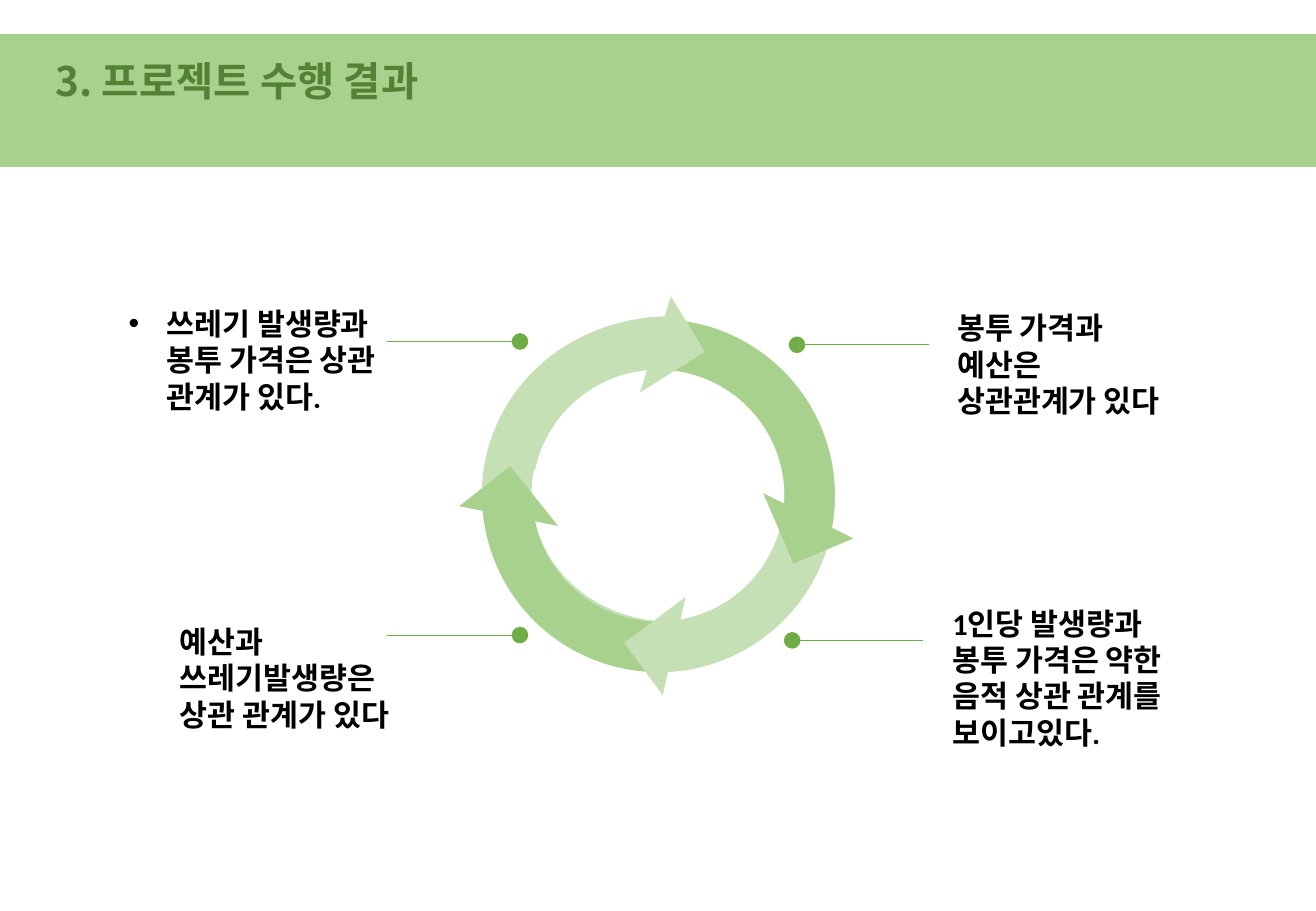
from dataclasses import dataclass

from lxml.etree import SubElement
from pptx import Presentation
from pptx.dml.color import RGBColor
from pptx.enum.shapes import MSO_CONNECTOR, MSO_SHAPE as Shape
from pptx.enum.text import MSO_ANCHOR as Anchor, PP_ALIGN as Align
from pptx.oxml.ns import qn
from pptx.util import Cm, Pt


@dataclass(frozen=True)
class Theme:
    pale: str = "C5E0B4"
    light: str = "A9D18E"
    accent: str = "70AD47"
    heading: str = "548235"
    ink: str = "000000"
    heading_font: str = "Noto Sans CJK KR"
    body_font: str = "Calibri"
    heading_size: int = 24
    body_size: int = 18
    rule_width: float = 0.5


THEME = Theme()
SLIDE_WIDTH, SLIDE_HEIGHT = 27.51, 19.05
RING_BOX = (9.55, 6.15, 8.43, 8.43)
BACK_ARC_BOX = (10.29, 6.4, 7.42, 7.85)

# Rotation, start of the sweep (None keeps the preset), colour; back to front
RING_ARROWS = [
    (191.3, None, THEME.light),
    (103.1, None, THEME.pale),
    (26.7, 147.15, THEME.light),
    (287.9, 158.4, THEME.pale),
]

# Text, box, bulleted, callout (text end x, dot x, y)
FINDINGS = [
    ("쓰레기 발생량과 봉투 가격은 상관 관계가 있다.",
     (2.44, 6.25, 6.35, 2.57), True, (8.1, 10.87, 7.14)),
    ("봉투 가격과 예산은 상관관계가 있다",
     (19.76, 6.35, 5.08, 3.33), False, (19.41, 16.66, 7.21)),
    ("예산과 쓰레기발생량은 상관 관계가 있다",
     (3.51, 12.9, 5.31, 2.57), False, (8.1, 10.87, 13.28)),
    ("1인당 발생량과 봉투 가격은 약한 음적 상관 관계를 보이고있다.",
     (19.66, 12.52, 5.66, 3.33), False, (19.3, 16.56, 13.39)),
]


def in_cm(box):
    return [Cm(length) for length in box]


def write_text(shape, text, *, font, size, color, wrap=True,
               anchor=Anchor.TOP, bullet=False):
    frame = shape.text_frame
    frame.word_wrap = wrap
    frame.vertical_anchor = anchor
    frame.text = text
    paragraph = frame.paragraphs[0]
    paragraph.alignment = Align.LEFT
    paragraph.space_before = Pt(0)
    if bullet:
        add_bullet(paragraph)
    run_font = paragraph.runs[0].font
    run_font.name = font
    run_font.size = Pt(size)
    run_font.bold = True
    run_font.color.rgb = RGBColor.from_string(color)


def add_bullet(paragraph, indent=Cm(0.79)):
    properties = paragraph._p.get_or_add_pPr()
    properties.set("marL", str(indent))
    properties.set("indent", str(-indent))
    SubElement(properties, qn("a:buFont"), typeface="Arial")
    SubElement(properties, qn("a:buChar"), char="•")


def add_filled_shape(shapes, kind, box, color, rotation=0):
    shape = shapes.add_shape(kind, *in_cm(box))
    shape.shadow.inherit = False
    shape.fill.solid()
    shape.fill.fore_color.rgb = RGBColor.from_string(color)
    shape.line.fill.background()
    shape.rotation = rotation
    return shape


def add_header(slide, text):
    title = slide.shapes.title
    title.left, title.top, title.width, title.height = in_cm((0.91, 1.04, 8.53, 1.27))
    write_text(title, text, font=THEME.heading_font, size=THEME.heading_size,
               color=THEME.heading, wrap=False, anchor=Anchor.MIDDLE)
    band = add_filled_shape(slide.shapes, Shape.FLOWCHART_PROCESS,
                            (0, 0.71, SLIDE_WIDTH, 2.79), THEME.light)
    title.element.addprevious(band.element)


def add_cycle(slide):
    """Group the back arc and the four arrows that chase each other."""
    ring = slide.shapes.add_group_shape().shapes
    arc = add_filled_shape(ring, Shape.BLOCK_ARC, BACK_ARC_BOX, THEME.pale, 270)
    for index, value in enumerate((108.52, 1.66, 0.14)):
        arc.adjustments[index] = value
    for rotation, sweep_start, color in RING_ARROWS:
        arrow = add_filled_shape(ring, Shape.CIRCULAR_ARROW, RING_BOX, color, rotation)
        if sweep_start is not None:
            arrow.adjustments[3] = sweep_start


def add_callout(slide, text_x, dot_x, y):
    """Draw a thin line from a text to a round dot beside the cycle."""
    line = slide.shapes.add_connector(MSO_CONNECTOR.STRAIGHT,
                                      *in_cm((text_x, y, dot_x, y)))
    line.line.color.rgb = RGBColor.from_string(THEME.accent)
    line.line.width = Pt(THEME.rule_width)
    properties = line.element.spPr
    SubElement(properties.find(qn("a:ln")), qn("a:tailEnd"),
               type="oval", w="lg", len="lg")
    SubElement(properties, qn("a:effectLst"))


def add_finding(slide, text, box, bullet):
    textbox = slide.shapes.add_textbox(*in_cm(box))
    write_text(textbox, text, font=THEME.body_font, size=THEME.body_size,
               color=THEME.ink, bullet=bullet)


def main():
    presentation = Presentation()
    presentation.slide_width = Cm(SLIDE_WIDTH)
    presentation.slide_height = Cm(SLIDE_HEIGHT)
    slide = presentation.slides.add_slide(presentation.slide_layouts.get_by_name("Title Only"))

    add_header(slide, "3. 프로젝트 수행 결과")
    add_cycle(slide)
    for text, box, bullet, callout in FINDINGS:
        add_callout(slide, *callout)
        add_finding(slide, text, box, bullet)

    presentation.save("out.pptx")


if __name__ == "__main__":
    main()
